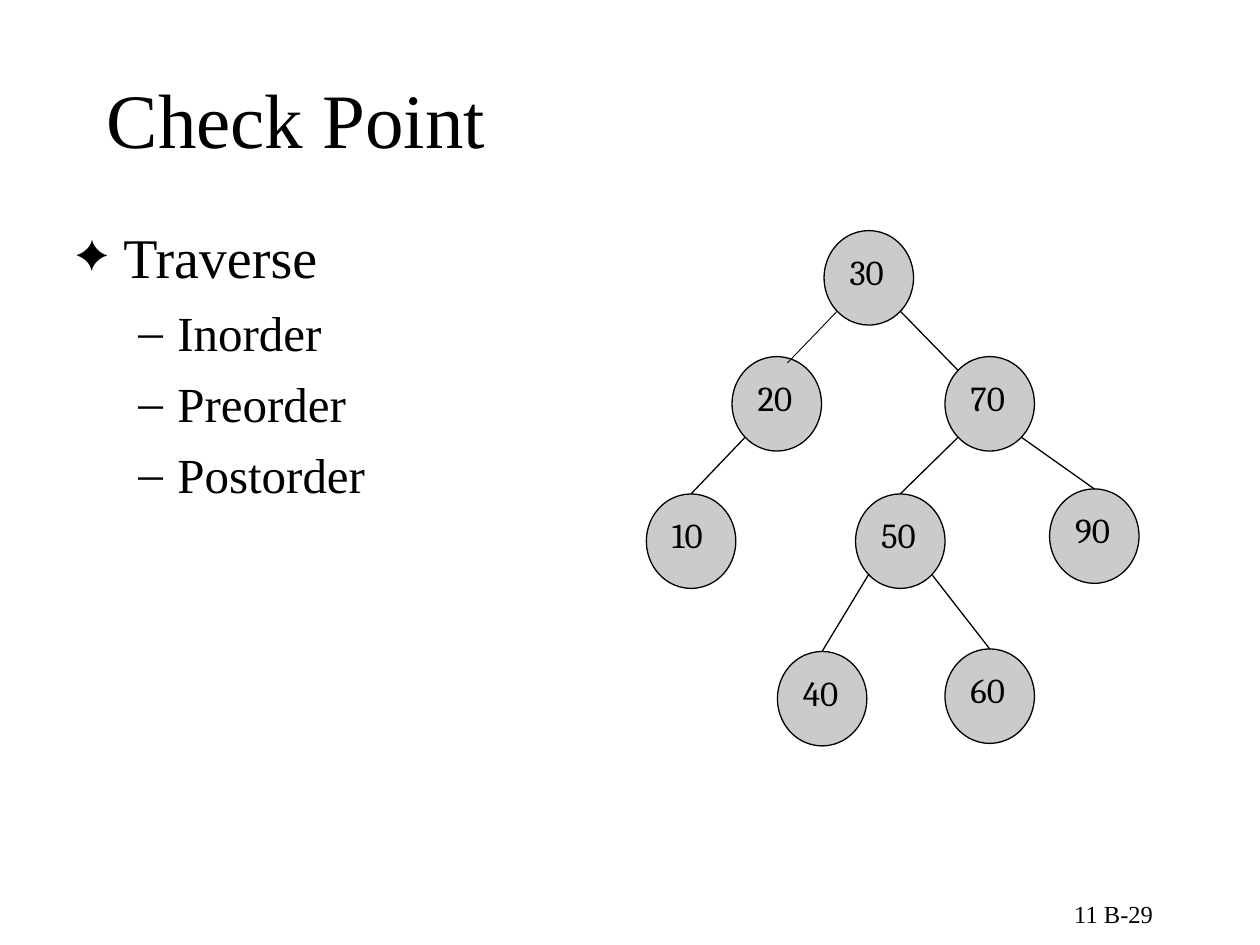
from math import sqrt

from lxml.etree import SubElement
from pptx import Presentation
from pptx.dml.color import RGBColor
from pptx.enum.shapes import MSO_CONNECTOR, MSO_SHAPE
from pptx.enum.text import MSO_ANCHOR, PP_ALIGN
from pptx.oxml.ns import qn
from pptx.util import Inches, Pt

COLORS = {"ink": "000000", "node": "CBCBCB", "paper": "FFFFFF"}
NODE_WIDTH, NODE_HEIGHT = 0.71, 0.75
NODES = {
    "30": (6.54, 1.83),
    "20": (5.81, 2.83),
    "70": (7.5, 2.83),
    "10": (5.13, 3.92),
    "50": (6.79, 3.92),
    "90": (8.33, 3.88),
    "40": (6.17, 5.17),
    "60": (7.5, 5.15),
}
TOP_EDGES = [("20", "10"), ("70", "50"), ("70", "90"), ("50", "40"), ("50", "60")]
BULLETS = [
    ("Traverse", 0),
    ("Inorder", 1),
    ("Preorder", 1),
    ("Postorder", 1),
]
LEVELS = [
    {"size": 32, "margin": 0.38, "indent": -0.38, "mark": "✦", "scale": 75},
    {"size": 28, "margin": 0.81, "indent": -0.31, "mark": "–", "scale": 100},
]


def corner(value, side, half):
    """Return the diagonal point of a node, side and half being -1 or 1."""
    left, top = NODES[value]
    reach = 1 / sqrt(2)
    return (
        left + NODE_WIDTH / 2 * (1 + side * reach),
        top + NODE_HEIGHT / 2 * (1 + half * reach),
    )


class SlideBuilder:
    """Holds the text style and the page being filled."""

    def __init__(self, page, font="Times New Roman", node_font="Cambria"):
        """Keep the page and fonts and paint the background."""
        self.page = page
        self.font = font
        self.node_font = node_font
        self.nodes = {}
        fill = page.background.fill
        fill.solid()
        fill.fore_color.rgb = self.color("paper")

    def color(self, name):
        """Look up a colour by its role."""
        return RGBColor.from_string(COLORS[name])

    def span(self, para, text, size, font):
        """Add one styled run to a paragraph."""
        span = para.add_run()
        span.text = text
        span.font.size = Pt(size)
        span.font.name = font
        span.font.color.rgb = self.color("ink")

    def frame(self, left, top, width, height, anchor, wrap=True):
        """Add a text box and return its text frame."""
        box = self.page.shapes.add_textbox(
            Inches(left), Inches(top), Inches(width), Inches(height)
        )
        box.text_frame.word_wrap = wrap
        box.text_frame.vertical_anchor = anchor
        return box.text_frame

    def label(self, text, place, size, align=PP_ALIGN.LEFT, wrap=True):
        """Add a single line of text, centred vertically."""
        frame = self.frame(*place, MSO_ANCHOR.MIDDLE, wrap)
        para = frame.paragraphs[0]
        para.alignment = align
        self.span(para, text, size, self.font)

    def bullets(self, items, place):
        """Add a two-level bulleted list."""
        frame = self.frame(*place, MSO_ANCHOR.TOP)
        frame.margin_top = Inches(0.1)
        for index, (text, depth) in enumerate(items):
            level = LEVELS[depth]
            para = frame.add_paragraph() if index else frame.paragraphs[0]
            para.level = depth
            if index:
                para.space_before = Pt(7)
            props = para._p.get_or_add_pPr()
            props.set("marL", str(Inches(level["margin"])))
            props.set("indent", str(Inches(level["indent"])))
            tint = SubElement(props, qn("a:buClr"))
            SubElement(tint, qn("a:srgbClr"), val=COLORS["ink"])
            SubElement(props, qn("a:buSzPct"), val=str(level["scale"] * 1000))
            SubElement(props, qn("a:buFont"), typeface=self.font)
            SubElement(props, qn("a:buChar"), char=level["mark"])
            self.span(para, text, level["size"], self.font)

    def node(self, value, left, top):
        """Add one tree node."""
        node = self.page.shapes.add_shape(
            MSO_SHAPE.OVAL,
            Inches(left), Inches(top), Inches(NODE_WIDTH), Inches(NODE_HEIGHT),
        )
        node.shadow.inherit = False
        node.fill.solid()
        node.fill.fore_color.rgb = self.color("node")
        node.line.color.rgb = self.color("ink")
        node.line.width = Pt(0.75)
        frame = node.text_frame
        frame.word_wrap = True
        frame.margin_right = 0
        frame.vertical_anchor = MSO_ANCHOR.TOP
        para = frame.paragraphs[0]
        para.alignment = PP_ALIGN.LEFT
        self.span(para, value, 20, self.node_font)
        self.nodes[value] = node

    def edge(self, start, end, weight=0.75):
        """Add a straight line between two points."""
        edge = self.page.shapes.add_connector(
            MSO_CONNECTOR.STRAIGHT, *[Inches(value) for value in (*start, *end)]
        )
        edge.line.color.rgb = self.color("ink")
        edge.line.width = Pt(weight)
        SubElement(edge._element.spPr, qn("a:effectLst"))
        return edge

    def top_edge(self, parent, child):
        """Join a parent's lower corner to the top of its child."""
        left, top = NODES[child]
        side = 1 if left > NODES[parent][0] else -1
        end = (left + NODE_WIDTH / 2, top)
        edge = self.edge(corner(parent, side, 1), end)
        edge.end_connect(self.nodes[child], 0)


def main():
    """Build and save the slide."""
    deck = Presentation()
    deck.slide_width, deck.slide_height = Inches(10), Inches(7.5)
    builder = SlideBuilder(deck.slides.add_slide(deck.slide_layouts[6]))
    builder.bullets(BULLETS, (0.5, 1.67, 4.42, 5.03))
    builder.label("11 B-29", (7.17, 7, 2.08, 0.5), 14, PP_ALIGN.RIGHT, False)
    for value, (left, top) in NODES.items():
        builder.node(value, left, top)
    builder.edge(corner("30", -1, 1), (6.25, 2.88), 0.5)
    builder.edge(corner("30", 1, 1), corner("70", -1, -1))
    for parent, child in TOP_EDGES:
        builder.top_edge(parent, child)
    builder.label("Check Point", (0.75, 0.31, 8.5, 1.25), 44)
    deck.save("out.pptx")


if __name__ == "__main__":
    main()
